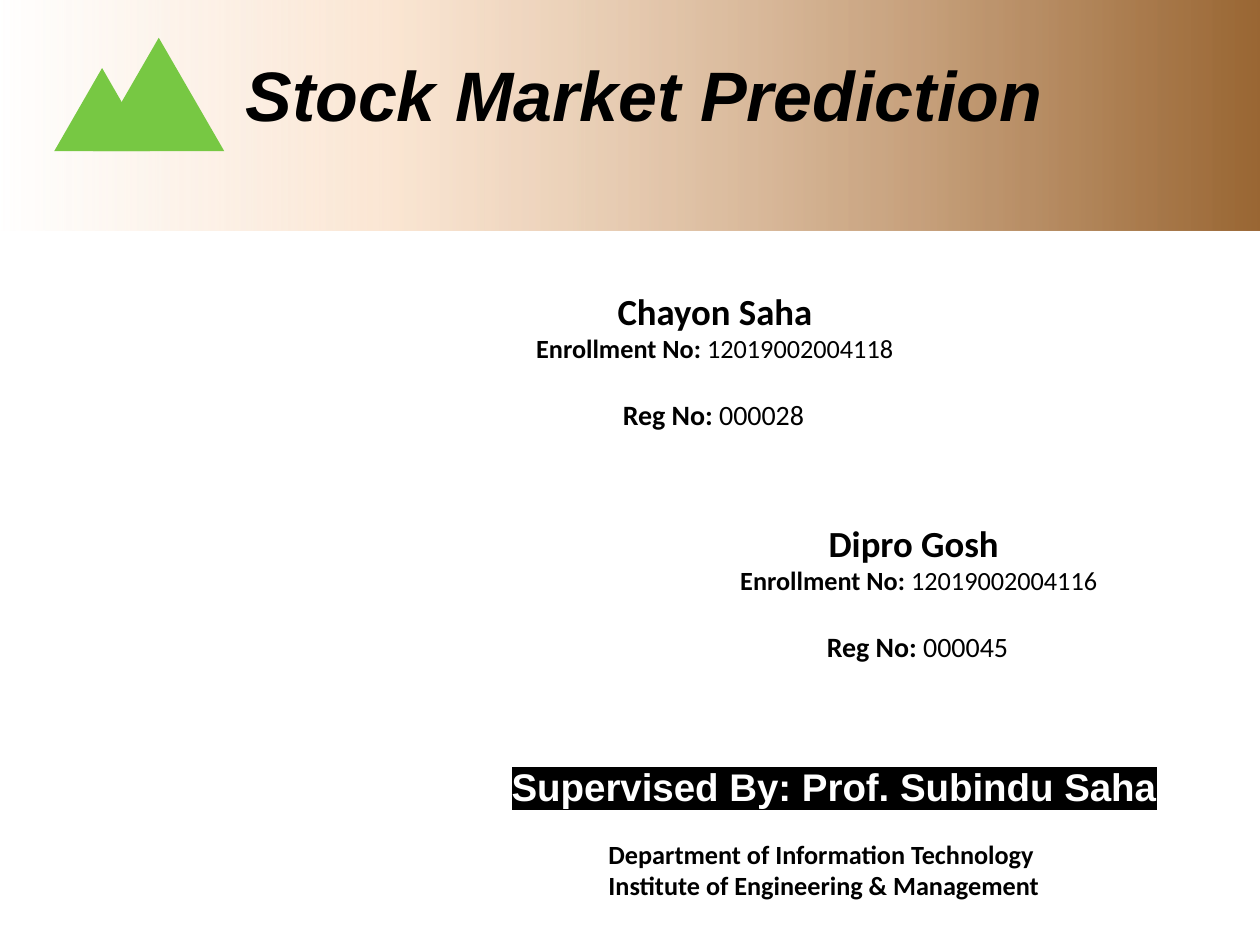
"""Build the title slide of a stock market prediction project."""
from pptx import Presentation
from pptx.dml.color import RGBColor
from pptx.enum.shapes import MSO_SHAPE as SHAPE
from pptx.enum.text import MSO_ANCHOR as ANCHOR, PP_ALIGN as ALIGN
from pptx.oxml import parse_xml
from pptx.oxml.ns import nsdecls, qn
from pptx.util import Pt

color = RGBColor.from_string


def add_text_box(left, top, width, height, inset):
    text_frame = slide.shapes.add_textbox(Pt(left), Pt(top), Pt(width), Pt(height)).text_frame
    text_frame.word_wrap = True
    text_frame.margin_left = text_frame.margin_right = Pt(7.2)
    text_frame.margin_top = text_frame.margin_bottom = Pt(inset)
    return text_frame


def format_run(run, size, name="Calibri", bold=True, fill="000000"):
    run.font.size = Pt(size)
    run.font.bold = bold
    run.font.color.rgb = color(fill)
    run.font.name = name


presentation = Presentation()
presentation.slide_width, presentation.slide_height = Pt(720), Pt(540)
slide = presentation.slides.add_slide(presentation.slide_layouts[6])

banner = slide.shapes.add_shape(SHAPE.RECTANGLE, Pt(0), Pt(-1.44), Pt(720), Pt(133.2))
banner.shadow.inherit = False
banner.line.fill.background()
stops = "".join(
    f'<a:gs pos="{position * 1000}"><a:srgbClr val="{value}">'
    f'<a:alpha val="{alpha * 1000}"/></a:srgbClr></a:gs>'
    for position, value, alpha in [(0, "996633", 100), (69, "F9DBC0", 69), (100, "F9DBC0", 0)]
)
banner.fill.gradient()
banner.fill.gradient_angle = 180
stop_list = banner.element.spPr.find(qn("a:gradFill")).find(qn("a:gsLst"))
stop_list.getparent().replace(
    stop_list, parse_xml(f'<a:gsLst {nsdecls("a")}>{stops}</a:gsLst>'))

for left, top, width, height in [(31, 38.9, 54.7, 47.5), (53.3, 21.6, 74.9, 64.8)]:
    peak = slide.shapes.add_shape(
        SHAPE.ISOSCELES_TRIANGLE, Pt(left), Pt(top), Pt(width), Pt(height))
    peak.shadow.inherit = False
    peak.fill.solid()
    peak.fill.fore_color.rgb = color("77C843")
    peak.line.fill.background()

title = add_text_box(133.2, 25.9, 490.3, 55.4, 3.6).paragraphs[0]
title.text = "Stock Market Prediction"
format_run(title.runs[0], 40, "Arial")
title.runs[0].font.italic = True

students = [
    (275.8, 161.3, 70, "Chayon Saha", "12019002004118", "000028"),
    (392.4, 293.8, 74, "Dipro Gosh", "12019002004116", "000045"),
]
for left, top, name_indent, name, enrollment, registration in students:
    text_frame = add_text_box(left, top, 272.2, 70.6, 3.6)
    rows = [
        (name_indent, 1, [(name, 21, True)]),
        (23.5, 1, [("Enrollment No:", 15, True), (f" {enrollment}", 15, False)]),
        (73, 2, [("Reg No: ", 16, True), (registration, 16, False)]),
    ]
    for index, (indent, spacing, parts) in enumerate(rows):
        paragraph = text_frame.add_paragraph() if index else text_frame.paragraphs[0]
        paragraph.line_spacing = spacing
        properties = paragraph._p.get_or_add_pPr()
        properties.set("marL", str(Pt(indent)))
        properties.set("indent", "0")
        for text, size, bold in parts:
            run = paragraph.add_run()
            run.text = text
            format_run(run, size, bold=bold)

text_frame = add_text_box(252.7, 430.6, 447.8, 41, 7.2)
text_frame.vertical_anchor = ANCHOR.MIDDLE
supervisor = text_frame.paragraphs[0]
supervisor.text = "Supervised By: Prof. Subindu Saha"
supervisor.alignment = ALIGN.CENTER
supervisor.line_spacing = 0.9
supervisor.space_after = Pt(8)
format_run(supervisor.runs[0], 22, "Arial", fill="FFFFFF")
highlight = parse_xml(
    f'<a:highlight {nsdecls("a")}><a:srgbClr val="000000"/></a:highlight>')
supervisor.runs[0].font._element.find(qn("a:latin")).addprevious(highlight)

text_frame = add_text_box(340.6, 471.6, 272.2, 51.1, 7.2)
text_frame.text = "Department of Information Technology\nInstitute of Engineering & Management"
for paragraph in text_frame.paragraphs:
    format_run(paragraph.runs[0], 15)

presentation.save("out.pptx")
